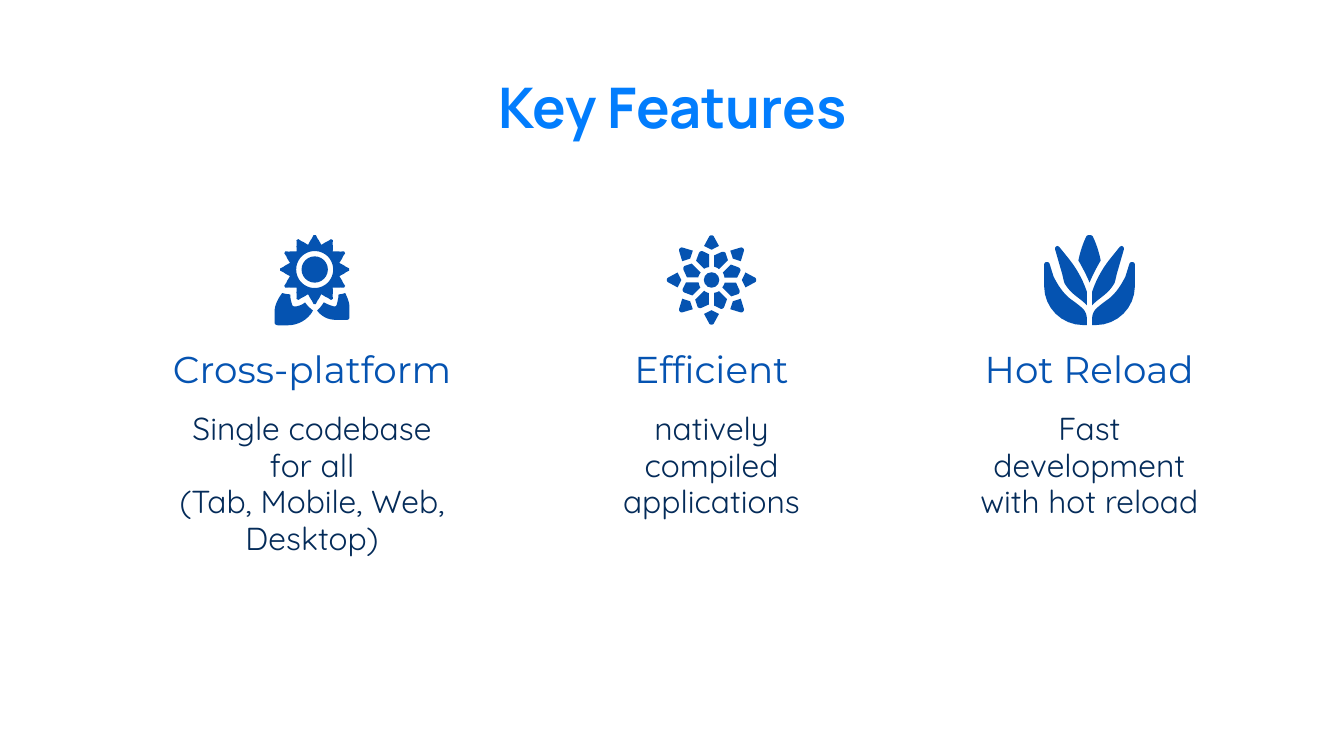
from math import cos, radians, sin

from pptx import Presentation
from pptx.dml.color import RGBColor
from pptx.enum.shapes import MSO_SHAPE as Shape
from pptx.enum.text import MSO_ANCHOR as Anchor, PP_ALIGN as Align
from pptx.util import Pt

BRIGHT_BLUE = RGBColor(0x02, 0x7D, 0xFD)
BLUE = RGBColor(0x05, 0x53, 0xB1)
NAVY = RGBColor(0x04, 0x2B, 0x59)

# Icon outlines in points around the icon centre:
# a start point, then lines (x, y) and curves (x1, y1, x2, y2, x, y)
LEFT_LEAF = [
    (-17.4, 12.6), (-19.6, 15.5, -21.5, 19.1, -21.5, 22.7), (-21.5, 28.2),
    (-21.5, 29.2, -20.8, 29.9, -19.6, 29.9), (-14.5, 29.9),
    (-8.8, 29.9, -3.7, 27, -0.9, 22), (-1.9, 21.2, -3.7, 19.8, -5.2, 17.6),
    (-6.6, 19, -8.4, 19.4, -9.9, 19.8), (-10.8, 19.9, -11.7, 19.8, -12, 19.1),
    (-12.7, 16.9, -13.1, 15.5, -13.1, 13.3), (-14.5, 13.3, -16, 13, -17.4, 12.6),
]
RIGHT_LEAF = [
    (16.4, 12.6), (15, 13, 14.3, 13.3, 12.8, 13.3), (12.8, 15, 12.3, 17, 11.9, 18.6),
    (11.7, 19.4, 11.3, 19.8, 10.5, 19.8), (8, 19.2, 6.3, 18.4, 4.9, 17.6),
    (3.5, 19.8, 2.7, 20.7, 1.3, 22), (3.5, 25, 7, 27, 11.4, 27), (17.3, 27),
    (18, 27, 18.6, 26.5, 18.6, 25.6), (18.6, 19.8), (18.6, 17.6, 17.5, 15, 16.4, 12.6),
]
STAR_TIP = [
    (-4, -18.2), (-1.3, -23.2), (-0.9, -24.2, 0.9, -24.2, 1.3, -23.2),
    (4, -18.2), (0, -16.2),
]
STAR_CELL = [
    (-4.9, -15.5), (-5.8, -15.6, -6.5, -15.1, -6.8, -14.3), (-8.3, -10.3), (-4, -6),
    (-3.2, -6.5, -2.2, -6.8, -1.3, -6.9), (-1.3, -13.7),
]
LOTUS_CENTRE = [
    (-1.7, -23.3), (-1.2, -24.3, 1.2, -24.3, 1.7, -23.3),
    (2, -22.8, 4.6, -17.5, 6, -10.4), (3.8, -6.7, 1.6, -2.4, 0, 1.4),
    (-1.6, -2.4, -3.8, -6.7, -6, -10.4), (-4.6, -17.5, -2, -22.8, -1.7, -23.3),
]
LOTUS_INNER = [
    (-17, -18.2), (-17.9, -18.2, -18.7, -17.3, -18.4, -16.3), (-14.8, -3.8),
    (-14.2, -1.9, -14, 0.2, -13.3, 1.9), (-12, 4.1, -10.3, 6, -8.4, 7.7),
    (-5.7, 9.9, -3.5, 11.3, -1.4, 13.6), (-1.4, 6.3),
    (-4.1, -1.7, -7.8, -7.4, -12, -12.5), (-16.2, -17.7),
]
LOTUS_OUTER = [
    (-22.8, -9.6), (-23.7, -9.6, -24.3, -9, -24.3, -8.1), (-24.3, 3.4),
    (-24.3, 14.9, -14.9, 24.2, -3.4, 24.2), (-1.4, 24.2), (-1.4, 20.6),
    (-1.4, 19.2, -2, 17, -3.4, 15.6), (-5.5, 13.5, -7.7, 12, -10.6, 9.9),
    (-14.2, 7, -17, 2.7, -19.2, -1.7), (-21.4, -8.7),
    (-21.7, -9.3, -22.2, -9.6, -22.8, -9.6),
]


def flatten(outline, steps=8):
    """Turn lines and curves into a list of points."""
    points = [outline[0]]
    for segment in outline[1:]:
        if len(segment) == 2:
            points.append(segment)
            continue
        x0, y0 = points[-1]
        x1, y1, x2, y2, x3, y3 = segment
        for step in range(1, steps + 1):
            t = step / steps
            a, b, c, d = (1 - t) ** 3, 3 * t * (1 - t) ** 2, 3 * t * t * (1 - t), t ** 3
            points.append((a * x0 + b * x1 + c * x2 + d * x3,
                           a * y0 + b * y1 + c * y2 + d * y3))
    return points


def polar(radius, angle):
    return radius * sin(radians(angle)), -radius * cos(radians(angle))


def rotate(points, angle):
    c, s = cos(radians(angle)), sin(radians(angle))
    return [(x * c - y * s, x * s + y * c) for x, y in points]


def mirror(points):
    return [(-x, y) for x, y in points]


class FeatureSlide:
    def __init__(self, presentation):
        self.slide = presentation.slides.add_slide(presentation.slide_layouts[6])

    def text(self, box, lines, font, size, color, bold=False, anchor=Anchor.TOP, spacing=None):
        shape = self.slide.shapes.add_textbox(*map(Pt, box))
        frame = shape.text_frame
        frame.word_wrap = True
        frame.vertical_anchor = anchor
        frame.margin_left = frame.margin_right = Pt(7.2)
        frame.margin_top = frame.margin_bottom = Pt(7.2)
        frame.text = lines
        for paragraph in frame.paragraphs:
            paragraph.alignment = Align.CENTER
            paragraph.line_spacing = spacing
            for run in paragraph.runs:
                run.font.name = font
                run.font.size = Pt(size)
                run.font.bold = bold
                run.font.color.rgb = color

    def paint(self, shape):
        shape.shadow.inherit = False
        shape.fill.solid()
        shape.fill.fore_color.rgb = BLUE
        shape.line.fill.background()

    def disc(self, centre, radius):
        x, y = centre
        self.paint(self.slide.shapes.add_shape(
            Shape.OVAL, Pt(x - radius), Pt(y - radius), Pt(2 * radius), Pt(2 * radius)))

    def outline(self, centre, *contours):
        placed = [[(Pt(centre[0] + x), Pt(centre[1] + y)) for x, y in points]
                  for points in contours]
        builder = self.slide.shapes.build_freeform(*placed[0][0])
        for index, points in enumerate(placed):
            if index:
                builder.move_to(*points[0])
            builder.add_line_segments(points[1:], close=True)
        self.paint(builder.convert_to_shape())

    def sunflower(self, centre):
        profile = [(-15, 19), (-8, 22), (-5, 24.2 / 26 * 25), (-1.8, 25.7)]
        profile = [(angle, radius * 0.72) for angle, radius in profile]
        profile += [(-angle, radius) for angle, radius in reversed(profile[1:])]
        petals = [polar(radius, 30 * petal + angle)
                  for petal in range(12) for angle, radius in profile]
        ring = [polar(9.9, -angle) for angle in range(0, 360, 6)]
        self.outline(centre, petals, ring)
        self.disc(centre, 7.05)
        for leaf in (LEFT_LEAF, RIGHT_LEAF):
            self.outline(centre, flatten(leaf))

    def star(self, centre):
        for angle in range(0, 360, 45):
            for part in (STAR_TIP, STAR_CELL):
                self.outline(centre, rotate(flatten(part), angle))
        self.disc(centre, 4.15)

    def lotus(self, centre):
        self.outline(centre, flatten(LOTUS_CENTRE))
        for part in (LOTUS_INNER, LOTUS_OUTER):
            petal = flatten(part)
            self.outline(centre, petal)
            self.outline(centre, mirror(petal))

    def feature(self, centre, heading, heading_width, body, body_width):
        self.text((centre - heading_width / 2, 183.6, heading_width, 33.1),
                  heading, "Montserrat", 20, BLUE, anchor=Anchor.BOTTOM)
        self.text((centre - body_width / 2, 213.1, body_width, 109.4),
                  body, "Quicksand", 17, NAVY, spacing=0.96)


def main():
    presentation = Presentation()
    presentation.slide_width, presentation.slide_height = Pt(720), Pt(405)
    page = FeatureSlide(presentation)

    # Title
    page.text((56.9, 31.7, 607, 45.4), "Key Features", "Manrope", 30, BRIGHT_BLUE, bold=True)

    # Feature columns
    page.feature(167.2, "Cross-platform", 203.8,
                 "Single codebase for all\n(Tab, Mobile, Web, Desktop)", 165.6)
    page.feature(381.2, "Efficient", 141.8, "natively compiled applications", 141.8)
    page.feature(583.6, "Hot Reload", 141.8, "Fast development with hot reload", 141.8)

    # Icons
    page.sunflower((168.6, 144.4))
    page.star((381.2, 150))
    page.lotus((583.7, 150))

    presentation.save("out.pptx")


if __name__ == "__main__":
    main()
